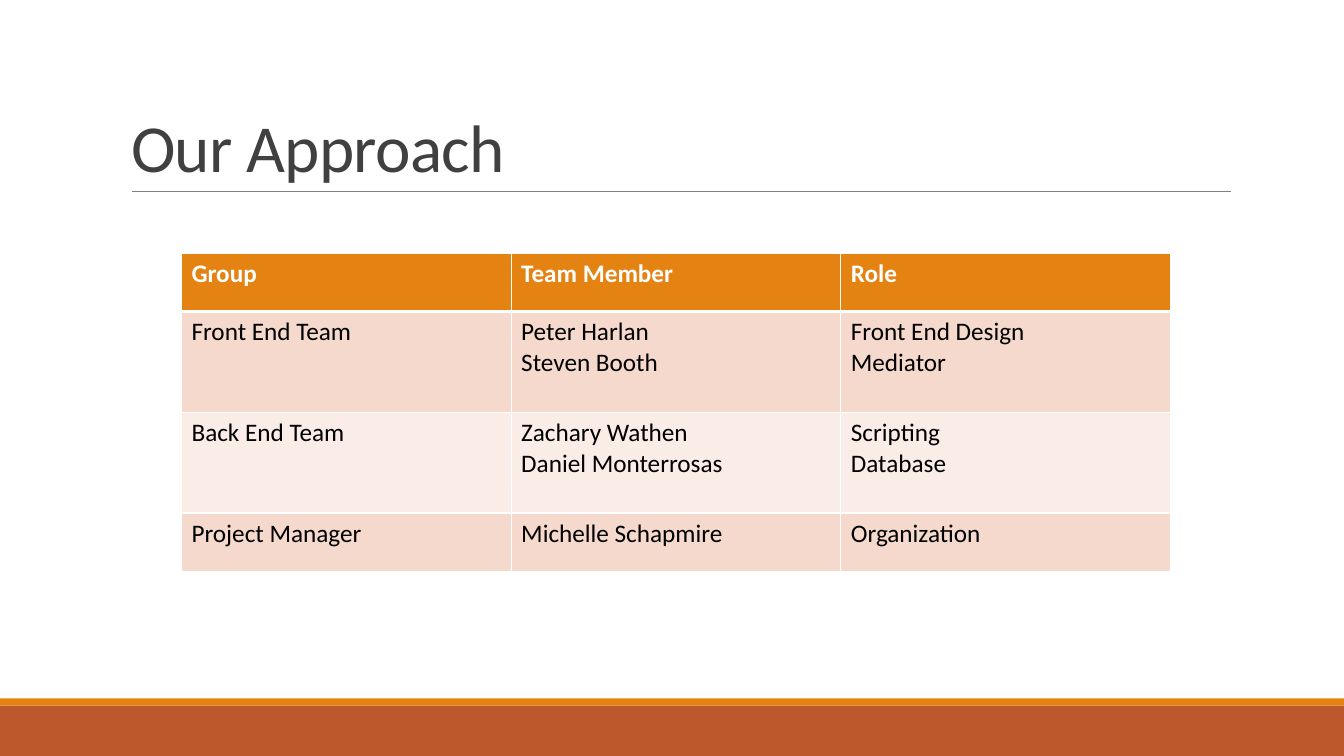
from dataclasses import dataclass

from lxml.etree import SubElement
from pptx import Presentation
from pptx.dml.color import RGBColor
from pptx.enum.shapes import MSO_CONNECTOR, MSO_SHAPE
from pptx.enum.text import MSO_ANCHOR, MSO_AUTO_SIZE, PP_ALIGN
from pptx.oxml import parse_xml
from pptx.oxml.ns import nsdecls, qn
from pptx.util import Inches, Pt


@dataclass
class Band:
    """A full-width strip at the foot of the slide."""
    top: float
    height: float
    fill: str


@dataclass
class Row:
    """A table row, with a list of lines for each cell."""
    height: float
    fill: str
    cells: list[list[str]]


WIDE = 13.33
BANDS = [Band(7, 0.5, "BD582C"), Band(6.93, 0.07, "E48312")]
ROWS = [
    Row(0.58, "E48312", [["Group"], ["Team Member"], ["Role"]]),
    Row(1, "F5D9CC", [["Front End Team"], ["Peter Harlan", "Steven Booth"],
                      ["Front End Design", "Mediator"]]),
    Row(1, "FAEDE7", [["Back End Team"], ["Zachary Wathen", "Daniel Monterrosas"],
                      ["Scripting", "Database"]]),
    Row(0.58, "F5D9CC", [["Project Manager"], ["Michelle Schapmire"], ["Organization"]]),
]


def paint(fill, color: str) -> None:
    """Make a fill solid in a hex colour."""
    fill.solid()
    fill.fore_color.rgb = RGBColor.from_string(color)


def write(frame, lines: list[str], size: float = 18, color: str = "000000",
          bold: bool = False, space: float = 1, track: int = 0) -> None:
    """Write lines as paragraphs in one format."""
    for i, line in enumerate(lines):
        para = frame.paragraphs[0] if i == 0 else frame.add_paragraph()
        para.alignment = PP_ALIGN.LEFT
        para.line_spacing = space
        run = para.add_run()
        run.text = line
        font = run.font
        font.name, font.size, font.bold = "Calibri", Pt(size), bold
        font.color.rgb = RGBColor.from_string(color)
        if track:
            font._element.set("spc", str(track))


def draw_band(slide, band: Band) -> None:
    """Draw one foot strip."""
    shape = slide.shapes.add_shape(MSO_SHAPE.RECTANGLE, 0, Inches(band.top),
                                   Inches(WIDE), Inches(band.height))
    shape.shadow.inherit = False
    paint(shape.fill, band.fill)
    shape.line.fill.background()


def draw_title(slide, text: str) -> None:
    """Place the title and the rule below it."""
    title = slide.shapes.title
    title.left, title.top = Inches(1.2), Inches(0.31)
    title.width, title.height = Inches(11), Inches(1.59)
    frame = title.text_frame
    frame.auto_size = MSO_AUTO_SIZE.NONE
    frame.vertical_anchor = MSO_ANCHOR.BOTTOM
    write(frame, [text], size=48, color="404040", space=0.85, track=-50)
    rule = slide.shapes.add_connector(MSO_CONNECTOR.STRAIGHT, Inches(1.31), Inches(1.9),
                                      Inches(12.21), Inches(1.9))
    rule.line.width = Pt(0.5)
    paint(rule.line.fill, "808080")
    SubElement(rule._element.spPr, qn("a:effectLst"))


def edge(cell, top: float, base: float) -> None:
    """Give a cell white borders, widths in points."""
    props = cell._tc.get_or_add_tcPr()
    for i, (side, width) in enumerate(zip("LRTB", (1, 1, top, base))):
        props.insert(i, parse_xml(
            f'<a:ln{side} {nsdecls("a")} w="{Pt(width)}"><a:solidFill>'
            f'<a:srgbClr val="FFFFFF"/></a:solidFill></a:ln{side}>'))


def draw_table(slide, rows: list[Row]) -> None:
    """Draw the team table."""
    high = sum(row.height for row in rows)
    table = slide.shapes.add_table(len(rows), 3, Inches(1.8), Inches(2.51),
                                   Inches(9.81), Inches(high)).table
    table.horz_banding = False
    for col in table.columns:
        col.width = Inches(3.27)
    for r, row in enumerate(rows):
        table.rows[r].height = Inches(row.height)
        head = r == 0
        for c, lines in enumerate(row.cells):
            cell = table.cell(r, c)
            paint(cell.fill, row.fill)
            edge(cell, top=3 if r == 1 else 1, base=3 if head else 1)
            write(cell.text_frame, lines, bold=head, color="FFFFFF" if head else "000000")


def main() -> None:
    """Build and save the slide."""
    deck = Presentation()
    deck.slide_width, deck.slide_height = Inches(WIDE), Inches(7.5)
    slide = deck.slides.add_slide(deck.slide_layouts[5])
    paint(slide.background.fill, "FFFFFF")
    for band in BANDS:
        draw_band(slide, band)
    draw_title(slide, "Our Approach")
    draw_table(slide, ROWS)
    deck.save("out.pptx")


if __name__ == "__main__":
    main()
